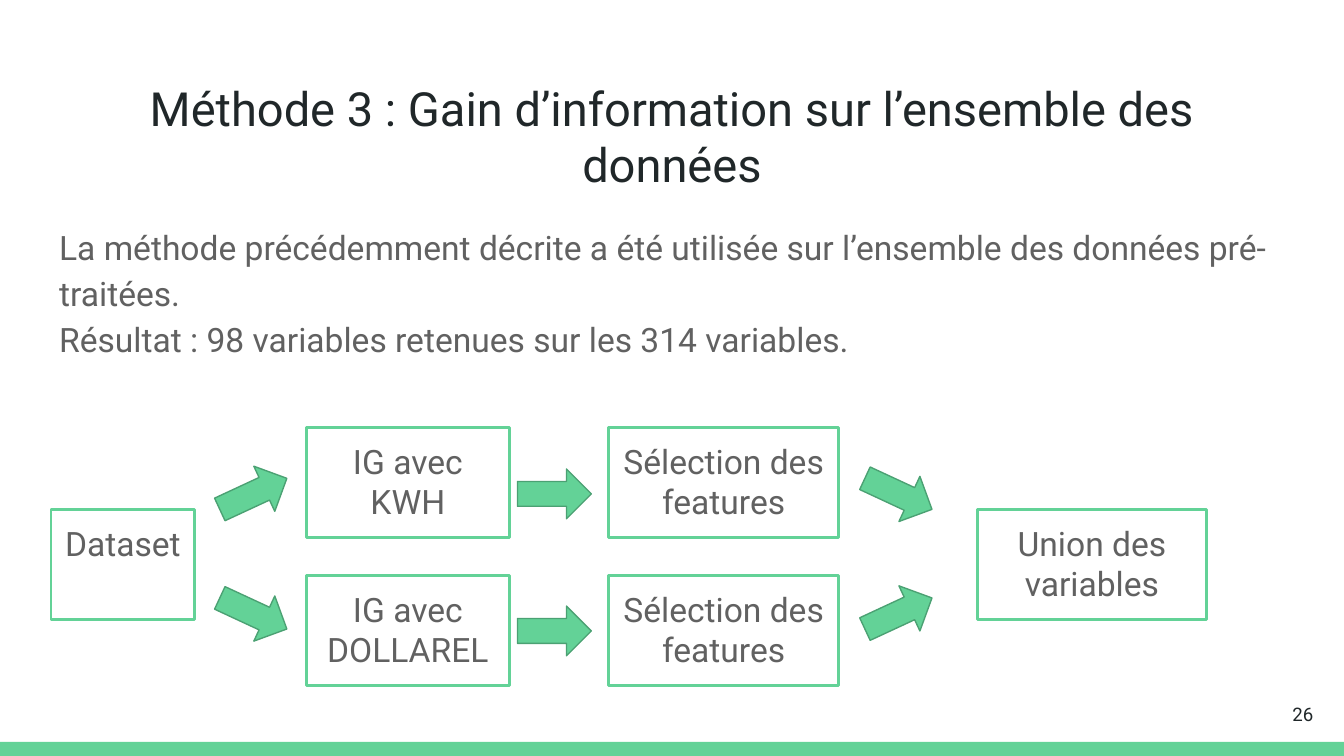
from pptx import Presentation
from pptx.dml.color import RGBColor
from pptx.enum.shapes import MSO_SHAPE
from pptx.enum.text import MSO_ANCHOR, MSO_AUTO_SIZE, PP_ALIGN
from pptx.util import Inches, Pt
from lxml import etree

RECTANGLE, ARROW = MSO_SHAPE.RECTANGLE, MSO_SHAPE.RIGHT_ARROW
LEFT, CENTER, RIGHT = PP_ALIGN.LEFT, PP_ALIGN.CENTER, PP_ALIGN.RIGHT
TOP, MIDDLE = MSO_ANCHOR.TOP, MSO_ANCHOR.MIDDLE
NO_AUTOFIT = MSO_AUTO_SIZE.NONE

# Content
TITLE = "Méthode 3 : Gain d’information sur l’ensemble des données"
BODY = [
    "La méthode précédemment décrite a été utilisée sur l’ensemble des données pré-traitées.",
    "Résultat : 98 variables retenues sur les 314 variables.",
]
PAGE_NUMBER = "26"
# Flow columns: left, width, labels (one label sits between the two rows)
COLUMNS = [
    (0.38, 1.07, ["Dataset"]),
    (2.28, 1.51, ["IG avec KWH", "IG avec DOLLAREL"]),
    (4.53, 1.71, ["Sélection des features", "Sélection des features"]),
    (7.27, 1.71, ["Union des variables"]),
]
# Arrow columns: left, then (top, rotation) of the upper and lower arrow
ARROWS = [
    (1.61, [(3.49, -24.9), (4.38, 24.9)]),
    (3.85, [(3.49, 0), (4.51, 0)]),
    (6.41, [(3.49, 24.9), (4.38, -24.9)]),
]

# Theme and measures
THEME = {
    "font": "Roboto", "green": "63D297", "edge": "4BA173",
    "dark": "202729", "grey": "616161",
    "title": 25.2, "text": 18, "number": 10,
}
ROW_TOPS, MIDDLE_TOP, BOX_HEIGHT = [3.18, 4.28], 3.79, 0.82
ARROW_SIZE = (0.55, 0.37)
INSET = 0.1


def color(name):
    return RGBColor.from_string(THEME[name])


def write(shape, lines, size="text", ink="grey", align=CENTER, anchor=TOP, spacing=1.0):
    frame = shape.text_frame
    frame.word_wrap = True
    frame.auto_size = NO_AUTOFIT
    frame.vertical_anchor = anchor
    frame.margin_left = frame.margin_right = Inches(INSET)
    frame.margin_top = frame.margin_bottom = Inches(INSET)
    for index, line in enumerate(lines):
        para = frame.add_paragraph() if index else frame.paragraphs[0]
        para.alignment = align
        para.line_spacing = spacing
        para.space_before = para.space_after = Pt(0)
        span = para.add_run()
        span.text = line
        span.font.name = THEME["font"]
        span.font.size = Pt(THEME[size])
        span.font.color.rgb = color(ink)


def place(shape, left, top, width, height):
    shape.left, shape.top = Inches(left), Inches(top)
    shape.width, shape.height = Inches(width), Inches(height)


def remove_bullets(shape):
    for para in shape.text_frame.paragraphs:
        properties = para._p.get_or_add_pPr()
        properties.set("marL", "0")
        properties.set("indent", "0")
        namespace = properties.nsmap["a"]
        etree.SubElement(properties, f"{{{namespace}}}buNone")


def add_shape(page, kind, area, fill=None, line=None, weight=1.5):
    shape = page.shapes.add_shape(kind, *map(Inches, area))
    shape.shadow.inherit = False
    if fill:
        shape.fill.solid()
        shape.fill.fore_color.rgb = color(fill)
    else:
        shape.fill.background()
    if line:
        shape.line.color.rgb = color(line)
        shape.line.width = Pt(weight)
    else:
        shape.line.fill.background()
    return shape


def main():
    deck = Presentation()
    # A 16:9 page
    deck.slide_width = Inches(10)
    deck.slide_height = Inches(10 * 9 / 16)
    page = deck.slides.add_slide(deck.slide_layouts[1])

    # Bottom band
    add_shape(page, RECTANGLE, (0, 5.52, 10, 0.11), fill="green")

    # Title, body and page number
    title, body = page.shapes.title, page.placeholders[1]
    place(title, 0.34, 0.49, 9.32, 1)
    write(title, [TITLE], size="title", ink="dark")
    place(body, 0.34, 1.54, 9.32, 1.27)
    write(body, BODY, align=LEFT, spacing=1.15)
    remove_bullets(body)
    number = page.shapes.add_textbox(*map(Inches, (9.27, 5.1, 0.6, 0.43)))
    write(number, [PAGE_NUMBER], size="number", ink="dark", align=RIGHT, anchor=MIDDLE)

    # Flow boxes
    for left, width, labels in COLUMNS:
        tops = ROW_TOPS if len(labels) > 1 else [MIDDLE_TOP]
        for top, label in zip(tops, labels):
            box = add_shape(page, RECTANGLE, (left, top, width, BOX_HEIGHT), line="green")
            write(box, [label])

    # Flow arrows
    for left, pair in ARROWS:
        for top, rotation in pair:
            arrow = add_shape(page, ARROW, (left, top, *ARROW_SIZE),
                              fill="green", line="edge", weight=0.75)
            arrow.rotation = rotation

    deck.save("out.pptx")


if __name__ == "__main__":
    main()
